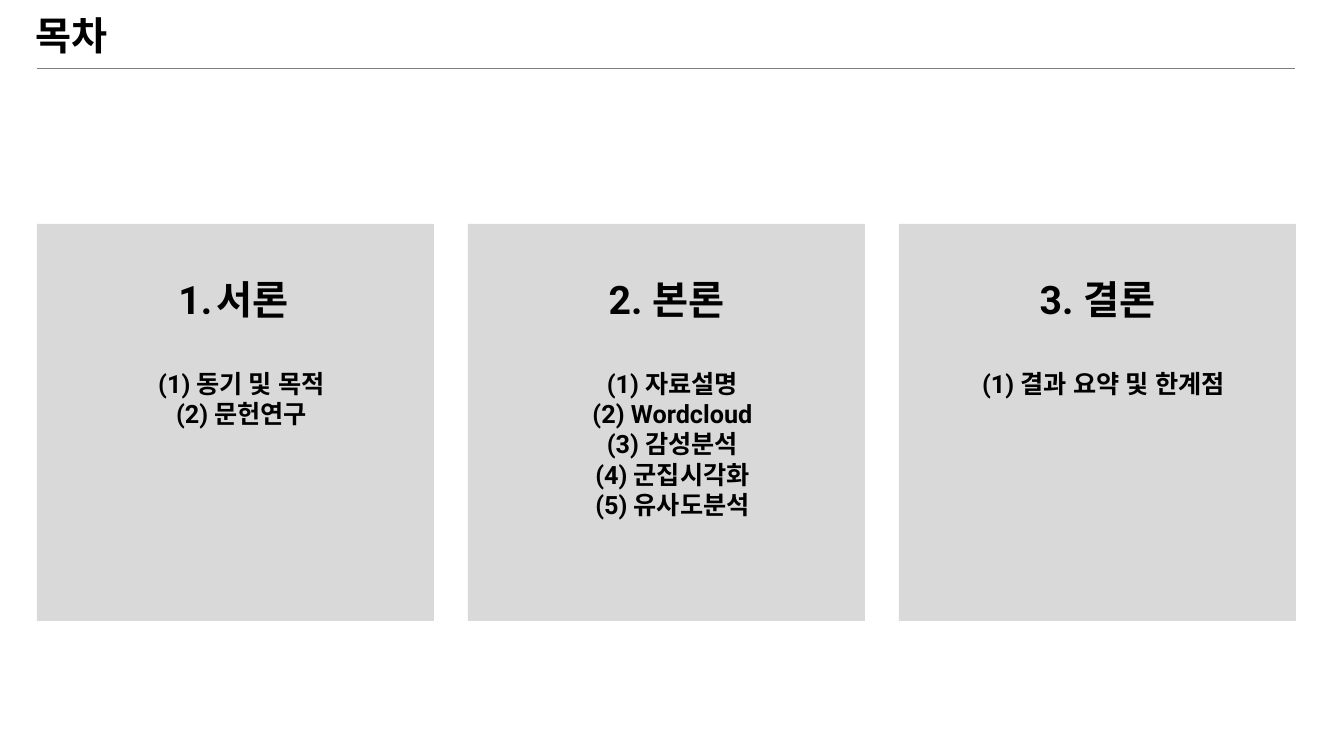
from lxml import etree
from pptx import Presentation
from pptx.dml.color import RGBColor
from pptx.enum.shapes import MSO_CONNECTOR, MSO_SHAPE
from pptx.enum.text import MSO_ANCHOR, PP_ALIGN
from pptx.oxml.ns import qn
from pptx.util import Emu, Pt

RECTANGLE, STRAIGHT = MSO_SHAPE.RECTANGLE, MSO_CONNECTOR.STRAIGHT
CENTER, LEFT = PP_ALIGN.CENTER, PP_ALIGN.LEFT
TOP, MIDDLE = MSO_ANCHOR.TOP, MSO_ANCHOR.MIDDLE
PX = 914400 / 100.8
THEME = {
    "font": "Roboto",
    "ink": RGBColor(0x00, 0x00, 0x00),
    "panel": RGBColor(0xD9, 0xD9, 0xD9),
    "rule": RGBColor(0x80, 0x80, 0x80),
    "heading": Pt(28),
    "item": Pt(18),
    "rule_width": Pt(0.5),
}
MARGIN, RIGHT, PANEL_TOP, PANEL_SIZE, PANEL_STEP = 37, 1295, 224, 397, 431
HEADING_OFFSET, HEADING_GAP = 51, 46
HANGING = -38

# heading, items, numbering schemes of heading and items, left margins of both
SECTIONS = [
    ("서론", ["동기 및 목적", "문헌연구"], ("arabicPeriod", "arabicParenBoth"), (0, 50)),
    ("2. 본론", ["(1) 자료설명", "(2) Wordcloud", "(3) 감성분석",
               "(4) 군집시각화", "(5) 유사도분석"], (None, None), (0, 12)),
    ("3. 결론", ["(1) 결과 요약 및 한계점"], (None, None), (0, 12)),
]


def px(length):
    return Emu(round(length * PX))


def style(paragraph, size, align, margin=0, numbering=None):
    """Format a paragraph, with automatic numbers when a scheme is given."""
    paragraph.alignment = align
    properties = paragraph._p.get_or_add_pPr()
    properties.set("marL", str(px(margin)))
    properties.set("indent", str(px(HANGING if numbering else 0)))
    if numbering:
        etree.SubElement(properties, qn("a:buAutoNum"), type=numbering)
    for run in paragraph.runs:
        run.font.size = size
        run.font.bold = True
        run.font.name = THEME["font"]
        run.font.color.rgb = THEME["ink"]
        etree.SubElement(run._r.get_or_add_rPr(), qn("a:ea"), typeface=THEME["font"])


prs = Presentation()
prs.slide_width, prs.slide_height = px(1344), px(756)
slide = prs.slides.add_slide(prs.slide_layouts[6])

rule = slide.shapes.add_connector(STRAIGHT, px(MARGIN), px(68), px(RIGHT), px(68))
rule.line.color.rgb = THEME["rule"]
rule.line.width = THEME["rule_width"]
etree.SubElement(rule._element.spPr, qn("a:effectLst"))

title = slide.shapes.add_textbox(px(26), px(6), px(543), px(58)).text_frame
title.word_wrap = True
title.vertical_anchor = MIDDLE
title.text = "목차"
style(title.paragraphs[0], THEME["heading"], LEFT)

for column, (heading, items, numbering, margins) in enumerate(SECTIONS):
    panel = slide.shapes.add_shape(
        RECTANGLE, px(MARGIN + column * PANEL_STEP), px(PANEL_TOP), px(PANEL_SIZE), px(PANEL_SIZE))
    panel.shadow.inherit = False
    panel.fill.solid()
    panel.fill.fore_color.rgb = THEME["panel"]
    panel.line.fill.background()

    contents = panel.text_frame
    contents.word_wrap = True
    contents.vertical_anchor = TOP
    contents.margin_top = px(HEADING_OFFSET)
    contents.text = "\n".join([heading, *items])
    heading_line, *item_lines = contents.paragraphs
    heading_line.space_after = Pt(round(HEADING_GAP * 72 / 100.8))
    style(heading_line, THEME["heading"], CENTER, margins[0], numbering[0])
    for item_line in item_lines:
        item_line.level = 1
        style(item_line, THEME["item"], CENTER, margins[1], numbering[1])

prs.save("out.pptx")
